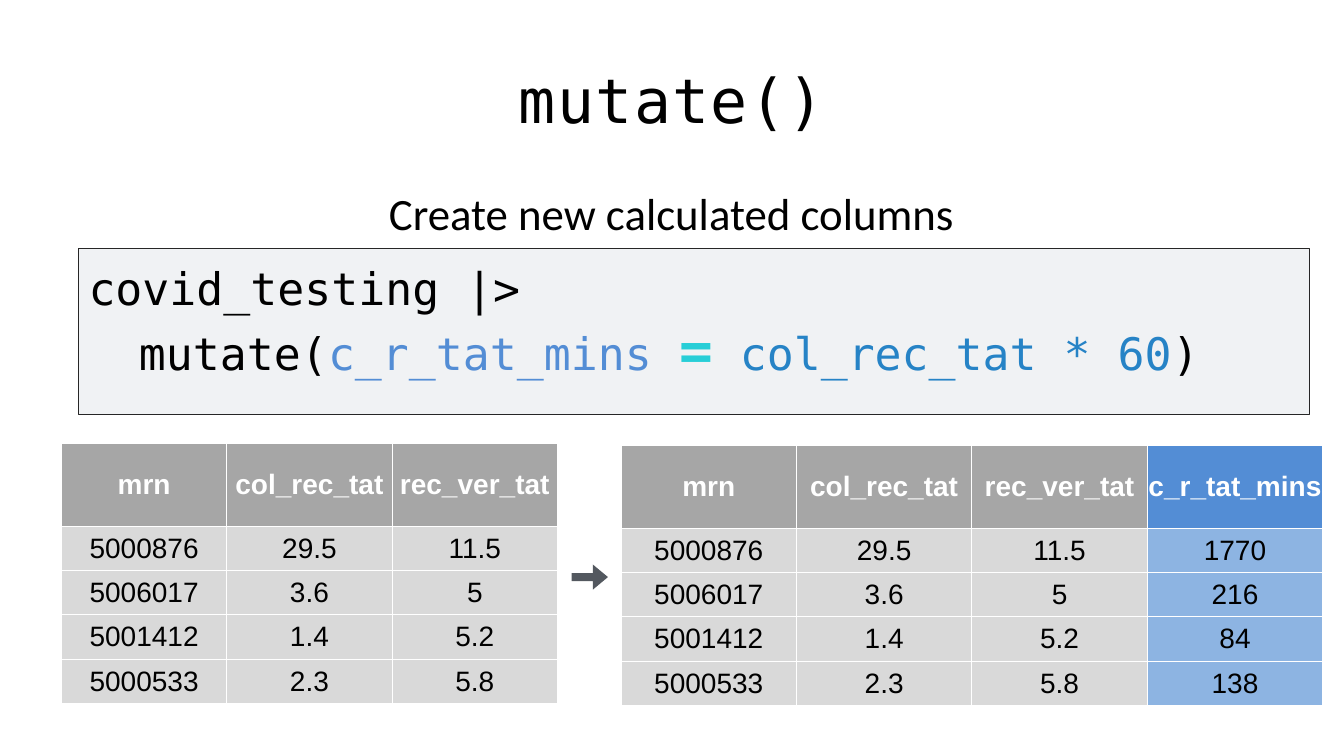
import pptx
import pptx.dml.color
import pptx.enum.shapes
import pptx.enum.text
import pptx.oxml
import pptx.oxml.ns
import pptx.util
from pptx.util import Inches

COLORS = {
    "text": "000000", "white": "FFFFFF", "panel": "F0F2F4", "outline": "262626",
    "arrow": "53585F", "header": "A6A6A6", "cell": "D9D9D9",
    "new_header": "538DD5", "new_cell": "8DB4E2",
    "equals": "27CED7", "expression": "2683C6",
}
MONO = "DejaVu Sans Mono"
CENTER = pptx.enum.text.PP_ALIGN.CENTER
MIDDLE = pptx.enum.text.MSO_ANCHOR.MIDDLE
TOP = pptx.enum.text.MSO_ANCHOR.TOP


class SlideBuilder:
    """Adds styled elements to the current slide."""

    def __init__(self, presentation):
        self.slide = presentation.slides.add_slide(presentation.slide_layouts[5])

    def color(self, name):
        return pptx.dml.color.RGBColor.from_string(COLORS[name])

    def style_font(self, font, size, name, color="text", bold=False):
        font.size, font.name, font.bold = pptx.util.Pt(size), name, bold
        font.color.rgb = self.color(color)

    def write_heading(self, shape, text, size, font_name):
        frame = shape.text_frame
        frame.word_wrap = True
        frame.auto_size = pptx.enum.text.MSO_AUTO_SIZE.NONE
        frame.vertical_anchor = TOP
        frame.margin_left = frame.margin_right = frame.margin_bottom = 0
        frame.margin_top = Inches(0.01)
        paragraph = frame.paragraphs[0]
        paragraph.text = text
        paragraph.alignment = CENTER
        self.style_font(paragraph.font, size, font_name)
        return paragraph

    def title(self, text, left, top, width, height):
        shape = self.slide.shapes.title
        shape.left, shape.top = Inches(left), Inches(top)
        shape.width, shape.height = Inches(width), Inches(height)
        paragraph = self.write_heading(shape, text, 44, MONO)
        paragraph.line_spacing = 0.8
        paragraph.runs[0].font._element.set("spc", "100")

    def subtitle(self, text, left, top, width, height):
        shape = self.slide.shapes.add_textbox(
            Inches(left), Inches(top), Inches(width), Inches(height))
        self.write_heading(shape, text, 32, "Calibri")

    def shape(self, kind, left, top, width, height, fill, line=None):
        shape = self.slide.shapes.add_shape(
            kind, Inches(left), Inches(top), Inches(width), Inches(height))
        shape.shadow.inherit = False
        shape.fill.solid()
        shape.fill.fore_color.rgb = self.color(fill)
        if line:
            shape.line.color.rgb = self.color(line)
            shape.line.width = pptx.util.Pt(0.75)
        else:
            shape.line.fill.background()
        return shape

    def code(self, lines, left, top, width, height):
        frame = self.slide.shapes.add_textbox(
            Inches(left), Inches(top), Inches(width), Inches(height)).text_frame
        frame.word_wrap = True
        frame.vertical_anchor = MIDDLE
        for index, line in enumerate(lines):
            paragraph = frame.add_paragraph() if index else frame.paragraphs[0]
            for text, color in line:
                run = paragraph.add_run()
                run.text = text
                emphasized = color == "equals"
                self.style_font(run.font, 40 if emphasized else 32, MONO, color, emphasized)

    def border(self, cell):
        properties = cell._tc.get_or_add_tcPr()
        for index, side in enumerate(("lnL", "lnR", "lnT", "lnB")):
            properties.insert(index, pptx.oxml.parse_xml(
                f'<a:{side} {pptx.oxml.ns.nsdecls("a")} w="12700"><a:solidFill>'
                f'<a:srgbClr val="{COLORS["white"]}"/></a:solidFill></a:{side}>'))

    def table(self, rows, left, top, column_width, new_column=None):
        header_height, row_height = 0.82, 0.44
        columns = len(rows[0])
        table = self.slide.shapes.add_table(
            len(rows), columns, Inches(left), Inches(top), Inches(column_width * columns),
            Inches(header_height + row_height * (len(rows) - 1))).table
        for column in table.columns:
            column.width = Inches(column_width)
        for row_index, row in enumerate(rows):
            is_header = row_index == 0
            table.rows[row_index].height = Inches(header_height if is_header else row_height)
            for column_index, text in enumerate(row):
                cell = table.cell(row_index, column_index)
                cell.margin_left = cell.margin_right = cell.margin_top = cell.margin_bottom = 0
                cell.vertical_anchor = MIDDLE
                fill = "header" if is_header else "cell"
                cell.fill.solid()
                cell.fill.fore_color.rgb = self.color(
                    f"new_{fill}" if column_index == new_column else fill)
                self.border(cell)
                paragraph = cell.text_frame.paragraphs[0]
                paragraph.text = text
                paragraph.alignment = CENTER
                self.style_font(paragraph.font, 20, "Arial",
                                "white" if is_header else "text", is_header)


def main():
    presentation = pptx.Presentation()
    presentation.slide_width, presentation.slide_height = Inches(13.33), Inches(7.5)
    builder = SlideBuilder(presentation)
    shapes = pptx.enum.shapes.MSO_SHAPE

    builder.title("mutate()", 0, 0.75, 13.33, 0.85)
    builder.subtitle("Create new calculated columns", 2.32, 1.83, 8.68, 0.53)
    builder.shape(shapes.RECTANGLE, 0.78, 2.47, 12.21, 1.64, "panel", "outline")
    builder.code([
        [("covid_testing |>", "text")],
        [("\tmutate(", "text"), ("c_r_tat_mins ", "new_header"), ("=", "equals"),
         (" ", "text"), ("col_rec_tat * 60", "expression"), (")", "text")],
    ], 0.78, 2.53, 12.67, 1.31)

    before = [
        ["mrn", "col_rec_tat", "rec_ver_tat"],
        ["5000876", "29.5", "11.5"],
        ["5006017", "3.6", "5"],
        ["5001412", "1.4", "5.2"],
        ["5000533", "2.3", "5.8"],
    ]
    minutes = ["c_r_tat_mins", "1770", "216", "84", "138"]
    after = [row + [value] for row, value in zip(before, minutes)]
    builder.table(before, 0.61, 4.4, 1.64)
    arrow = builder.shape(shapes.RIGHT_ARROW, 5.67, 5.6, 0.36, 0.25, "arrow")
    arrow.adjustments[0], arrow.adjustments[1] = 0.32, 0.6
    builder.table(after, 6.16, 4.42, 1.74, new_column=3)

    presentation.save("out.pptx")


if __name__ == "__main__":
    main()
